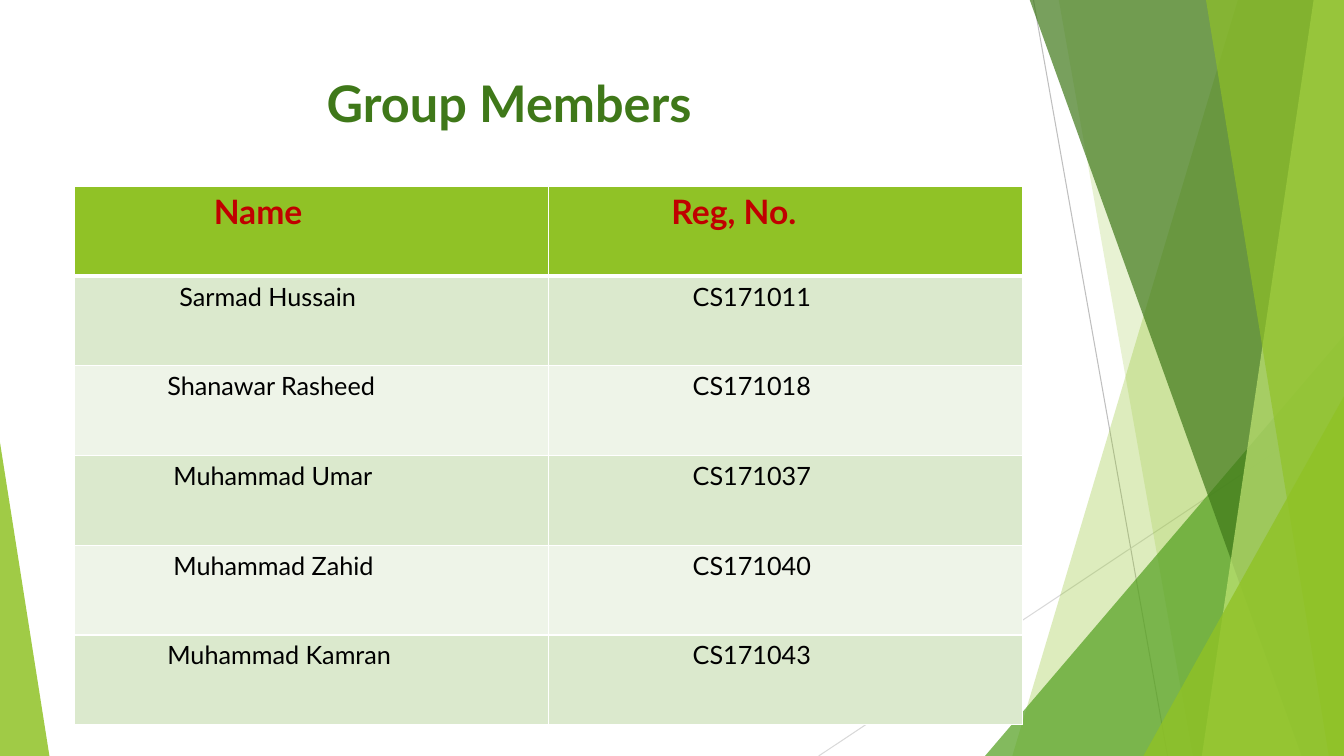
import pptx
import pptx.util
import pptx.dml.color
import pptx.enum.shapes
import pptx.enum.text
import pptx.oxml
import pptx.oxml.ns

Inches = pptx.util.Inches
Pt = pptx.util.Pt
RGBColor = pptx.dml.color.RGBColor
qn = pptx.oxml.ns.qn

LIME = RGBColor(0x90, 0xC2, 0x26)
PALE = RGBColor(0xC0, 0xE4, 0x74)
GREEN = RGBColor(0x54, 0xA0, 0x21)
DARK = RGBColor(0x3F, 0x78, 0x19)
RED = RGBColor(0xC0, 0x00, 0x00)
BLACK = RGBColor(0x00, 0x00, 0x00)
GRAY = RGBColor(0xBF, 0xBF, 0xBF)
SILVER = RGBColor(0xD9, 0xD9, 0xD9)
BANDS = (RGBColor(0xDB, 0xE9, 0xCD), RGBColor(0xEE, 0xF4, 0xE8))

FONT = "Lato"
WIDTH, HEIGHT = 13.33, 7.5
NS = 'xmlns:a="http://schemas.openxmlformats.org/drawingml/2006/main"'

# Name, registration number and the left indent of the name
HEADER = ("Name", "Reg, No.")
MEMBERS = (
    ("Sarmad Hussain", "CS171011", 1.04),
    ("Shanawar Rasheed", "CS171018", 0.92),
    ("Muhammad Umar", "CS171037", 0.98),
    ("Muhammad Zahid", "CS171040", 0.98),
    ("Muhammad Kamran", "CS171043", 0.92),
)


def paint(shape, color, alpha):
    """Give a shape a see-through fill with no outline or shadow."""
    shape.shadow.inherit = False
    shape.line.fill.background()
    shape.fill.solid()
    shape.fill.fore_color.rgb = color
    tint = shape.fill._xPr.find(qn("a:solidFill"))[0]
    tint.append(pptx.oxml.parse_xml(f'<a:alpha {NS} val="{alpha * 1000}"/>'))


def add_line(slide, start, end, color):
    line = slide.shapes.add_connector(
        pptx.enum.shapes.MSO_CONNECTOR.STRAIGHT,
        *(Inches(v) for v in start + end))
    line.line.color.rgb = color
    line.line.width = Pt(0.75)
    line._element.spPr.append(pptx.oxml.parse_xml(f"<a:effectLst {NS}/>"))


def add_panel(slide, top, foot, color, alpha):
    """Fill from a slanted left edge to the right edge of the slide."""
    corners = [(WIDTH, -0.01), (WIDTH, HEIGHT), (foot, HEIGHT)]
    form = slide.shapes.build_freeform(Inches(top), Inches(-0.01))
    form.add_line_segments([(Inches(x), Inches(y)) for x, y in corners])
    paint(form.convert_to_shape(), color, alpha)


def add_wedge(slide, left, top, width, tip, color, alpha):
    """Stand a triangle on the bottom edge of the slide."""
    wedge = slide.shapes.add_shape(
        pptx.enum.shapes.MSO_SHAPE.ISOSCELES_TRIANGLE,
        Inches(left), Inches(top), Inches(width), Inches(HEIGHT - top))
    wedge.adjustments[0] = tip
    paint(wedge, color, alpha)


def write(frame, text, size, color, bold):
    para = frame.paragraphs[0]
    para.text = text
    para.font.name = FONT
    para.font.size = Pt(size)
    para.font.color.rgb = color
    para.font.bold = bold


def add_title(slide):
    box = slide.shapes.add_textbox(
        Inches(0.74), Inches(0.67), Inches(9.4), Inches(1.1))
    frame = box.text_frame
    frame.word_wrap = True
    frame.vertical_anchor = pptx.enum.text.MSO_ANCHOR.TOP
    frame.margin_left = Inches(2.5)
    write(frame, "Group Members", 36, DARK, True)


def set_edges(cell, top, bottom):
    """Draw white borders; the top and bottom widths are in points."""
    props = cell._tc.get_or_add_tcPr()
    sides = (("L", 1), ("R", 1), ("T", top), ("B", bottom))
    for place, (side, width) in enumerate(sides):
        props.insert(place, pptx.oxml.parse_xml(
            f'<a:ln{side} {NS} w="{Pt(width)}"><a:solidFill>'
            f'<a:srgbClr val="FFFFFF"/></a:solidFill></a:ln{side}>'))


def fill_cell(cell, text, indent, fill, size, color, bold):
    cell.margin_left = Inches(indent)
    cell.fill.solid()
    cell.fill.fore_color.rgb = fill
    write(cell.text_frame, text, size, color, bold)


def add_members(slide):
    count = len(MEMBERS) + 1
    table = slide.shapes.add_table(
        count, 2, Inches(0.74), Inches(1.85),
        Inches(9.4), Inches(0.89 * count)).table
    for col, (text, indent) in enumerate(zip(HEADER, (1.38, 1.22))):
        cell = table.cell(0, col)
        fill_cell(cell, text, indent, LIME, 24, RED, True)
        set_edges(cell, 1, 3)
    for row, (name, number, indent) in enumerate(MEMBERS, 1):
        fill = BANDS[(row - 1) % 2]
        for col, (text, gap) in enumerate(((name, indent), (number, 1.43))):
            cell = table.cell(row, col)
            fill_cell(cell, text, gap, fill, 18, BLACK, False)
            set_edges(cell, 3 if row == 1 else 1, 1)


def add_decor(slide):
    # Thin lines
    add_line(slide, (10.25, 0), (11.58, HEIGHT), GRAY)
    add_line(slide, (WIDTH, 4.03), (8.12, HEIGHT), SILVER)
    # Layered panels and wedges, from back to front
    add_panel(slide, 12.28, 10.04, LIME, 30)
    add_panel(slide, 10.5, 11.83, LIME, 20)
    add_wedge(slide, 9.77, 3.33, 3.56, 1, GREEN, 72)
    add_panel(slide, 10.21, 12.91, DARK, 70)
    add_panel(slide, 13.03, 11.92, PALE, 70)
    add_panel(slide, 11.96, 13.18, LIME, 65)
    add_wedge(slide, 11.34, 3.93, 1.99, 1, LIME, 80)
    add_wedge(slide, 0, 4.39, 0.49, 0, LIME, 85)


def main():
    deck = pptx.Presentation()
    deck.slide_width = Inches(WIDTH)
    deck.slide_height = Inches(HEIGHT)
    slide = deck.slides.add_slide(deck.slide_layouts[6])
    add_decor(slide)
    add_title(slide)
    add_members(slide)
    deck.save("out.pptx")


if __name__ == "__main__":
    main()
